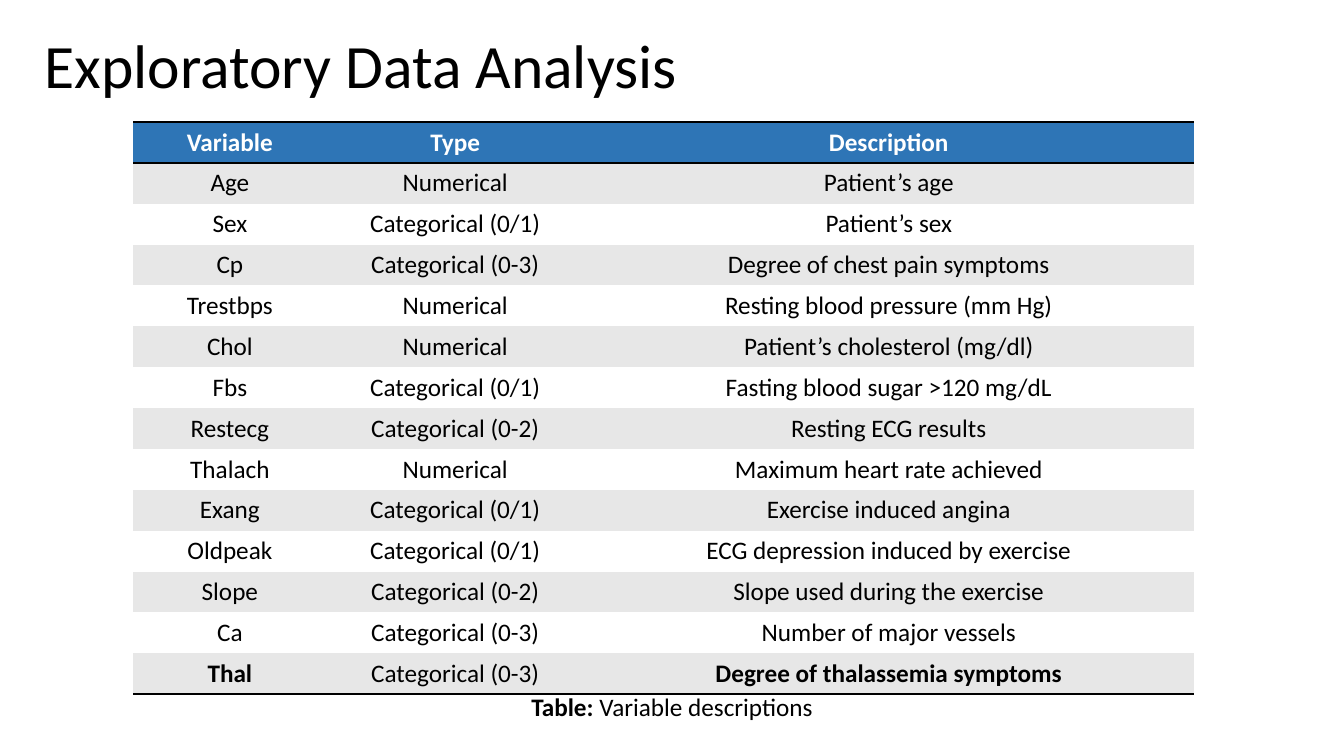
from dataclasses import dataclass

from lxml import etree
from pptx import Presentation
from pptx import util as u
from pptx.dml.color import RGBColor
from pptx.enum import text
from pptx.oxml import ns

TITLE = "Exploratory Data Analysis"
CAPTION = [("Table:", True), (" Variable descriptions", False)]
HEADER = ("Variable", "Type", "Description")
VARIABLES = [
    ("Age", "Numerical", "Patient’s age"),
    ("Sex", "Categorical (0/1)", "Patient’s sex"),
    ("Cp", "Categorical (0-3)", "Degree of chest pain symptoms"),
    ("Trestbps", "Numerical", "Resting blood pressure (mm Hg)"),
    ("Chol", "Numerical", "Patient’s cholesterol (mg/dl)"),
    ("Fbs", "Categorical (0/1)", "Fasting blood sugar >120 mg/dL"),
    ("Restecg", "Categorical (0-2)", "Resting ECG results"),
    ("Thalach", "Numerical", "Maximum heart rate achieved"),
    ("Exang", "Categorical (0/1)", "Exercise induced angina"),
    ("Oldpeak", "Categorical (0/1)", "ECG depression induced by exercise"),
    ("Slope", "Categorical (0-2)", "Slope used during the exercise"),
    ("Ca", "Categorical (0-3)", "Number of major vessels"),
    ("Thal", "Categorical (0-3)", "Degree of thalassemia symptoms"),
]
BOLD_BODY = {"Thal", "Degree of thalassemia symptoms"}
COLUMN_WIDTHS = (1.92, 2.55, 6.05)
ROW_HEIGHT = 0.4
PLAIN_TABLE_STYLE = "{2D5ABB26-0587-4C30-8999-92F81FD0307C}"


@dataclass(frozen=True)
class Theme:
    font: str = "Calibri"
    title_size: int = 44
    body_size: int = 18
    rule_width: int = 2
    ink: str = "000000"
    paper: str = "FFFFFF"
    band: str = "E7E7E7"
    header: str = "2E75B6"


THEME = Theme()


def set_attributes(target, values):
    for name, value in values.items():
        setattr(target, name, value)


def place(shape, left, top, width, height):
    box = {"left": left, "top": top, "width": width, "height": height}
    set_attributes(shape, {name: u.Inches(value) for name, value in box.items()})


def add_run(paragraph, words, size=THEME.body_size, color=THEME.ink, bold=False):
    run = paragraph.add_run()
    run.text = words
    set_attributes(run.font, {"name": THEME.font, "size": u.Pt(size), "bold": bold})
    run.font.color.rgb = RGBColor.from_string(color)


def add_rule(cell, edge):
    properties = cell._tc.get_or_add_tcPr()
    line = etree.SubElement(properties, ns.qn(f"a:{edge}"), w=str(u.Pt(THEME.rule_width)))
    fill = etree.SubElement(line, ns.qn("a:solidFill"))
    etree.SubElement(fill, ns.qn("a:srgbClr"), val=THEME.ink)


def add_title(slide):
    title = slide.shapes.title
    place(title, 0.34, -0.04, 11.5, 1.45)
    frame = title.text_frame
    set_attributes(frame, {"vertical_anchor": text.MSO_ANCHOR.MIDDLE, "word_wrap": True})
    paragraph = frame.paragraphs[0]
    set_attributes(paragraph, {"alignment": text.PP_ALIGN.LEFT, "line_spacing": 0.9})
    add_run(paragraph, TITLE, size=THEME.title_size)


def add_variable_table(slide):
    rows = [HEADER, *VARIABLES]
    shape = slide.shapes.add_table(
        len(rows), len(HEADER), u.Inches(1.32), u.Inches(1.21),
        u.Inches(sum(COLUMN_WIDTHS)), u.Inches(ROW_HEIGHT * len(rows)),
    )
    table = shape.table
    table.horz_banding = False
    next(shape.element.iter(ns.qn("a:tableStyleId"))).text = PLAIN_TABLE_STYLE
    for column, width in zip(table.columns, COLUMN_WIDTHS):
        column.width = u.Inches(width)

    for row_index, row in enumerate(rows):
        is_header = row_index == 0
        fill = THEME.header if is_header else THEME.band if row_index % 2 else THEME.paper
        for column_index, words in enumerate(row):
            cell = table.cell(row_index, column_index)
            if is_header:
                add_rule(cell, "lnT")
            if is_header or row_index == len(rows) - 1:
                add_rule(cell, "lnB")
            cell.fill.solid()
            cell.fill.fore_color.rgb = RGBColor.from_string(fill)
            paragraph = cell.text_frame.paragraphs[0]
            paragraph.alignment = text.PP_ALIGN.CENTER
            add_run(
                paragraph, words,
                color=THEME.paper if is_header else THEME.ink,
                bold=is_header or words in BOLD_BODY,
            )


def add_caption(slide):
    box = [u.Inches(value) for value in (4.44, 6.81, 4.45, 0.4)]
    frame = slide.shapes.add_textbox(*box).text_frame
    set_attributes(frame, {"word_wrap": True, "auto_size": text.MSO_AUTO_SIZE.SHAPE_TO_FIT_TEXT})
    paragraph = frame.paragraphs[0]
    paragraph.alignment = text.PP_ALIGN.CENTER
    for words, bold in CAPTION:
        add_run(paragraph, words, bold=bold)


def main():
    presentation = Presentation()
    set_attributes(presentation, {"slide_width": u.Inches(13.33), "slide_height": u.Inches(7.5)})
    slide = presentation.slides.add_slide(presentation.slide_layouts.get_by_name("Title Only"))
    add_title(slide)
    add_variable_table(slide)
    add_caption(slide)
    presentation.save("out.pptx")


if __name__ == "__main__":
    main()
